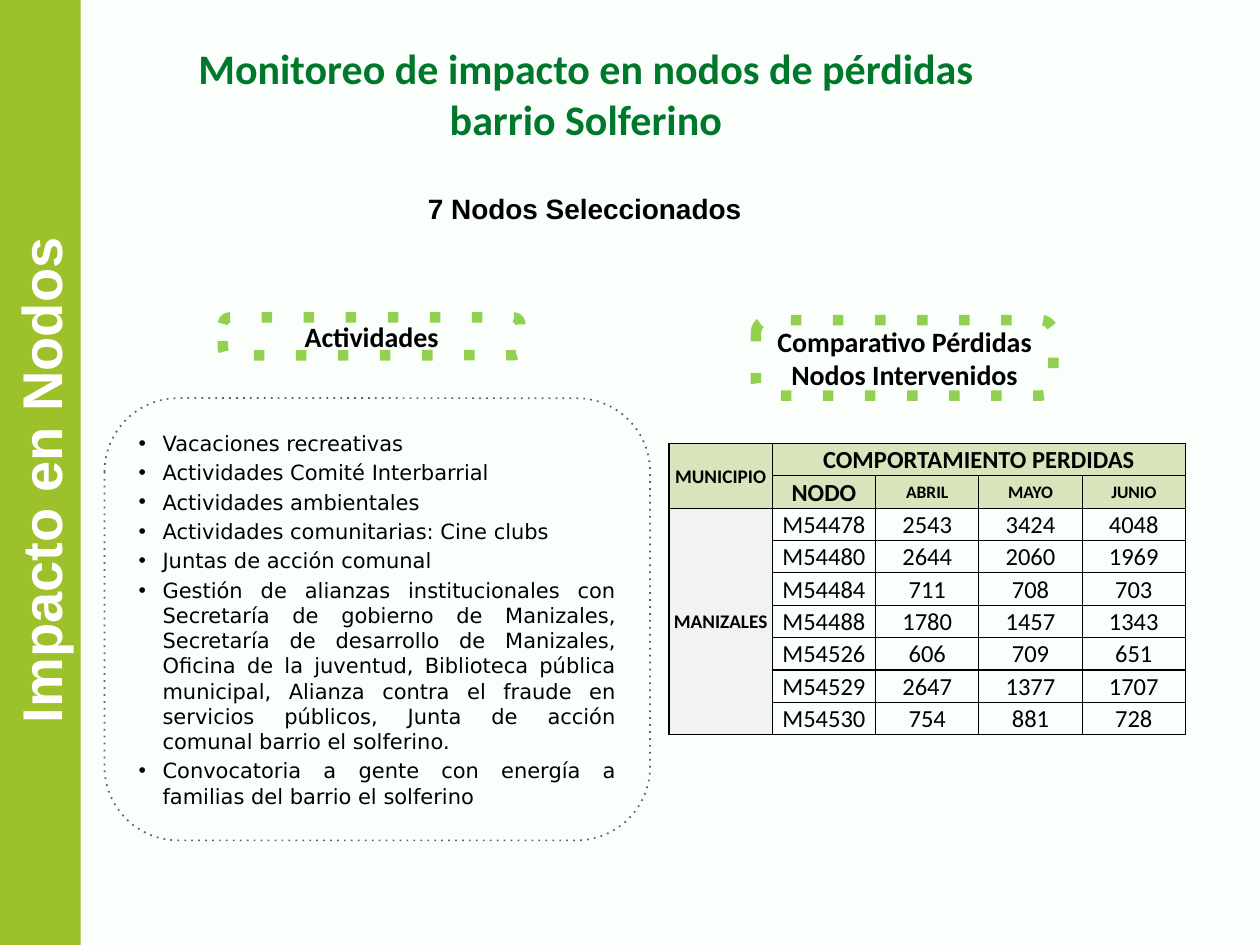
from dataclasses import dataclass

from lxml import etree
from pptx import Presentation
from pptx import util as u
from pptx.dml.color import RGBColor
from pptx.enum import shapes, text
from pptx.oxml.ns import qn


@dataclass(frozen=True)
class Theme:
    background: str = "FBFFFC"
    band: str = "9CC12B"
    accent: str = "92D050"
    title: str = "00782C"
    ink: str = "000000"
    white: str = "FFFFFF"
    outline: str = "606060"
    header: str = "D8E4BC"
    region: str = "F2F2F2"
    side_size: int = 32
    title_size: int = 24
    label_size: int = 16
    table_size: int = 14
    list_size: int = 12
    region_size: int = 11
    month_size: int = 10


THEME = Theme()
COLUMNS, ROWS = 100, 75
WIDTH, HEIGHT = u.Inches(10), u.Inches(7.5)

ACTIVITIES = [
    "Vacaciones recreativas",
    "Actividades Comité Interbarrial",
    "Actividades ambientales",
    "Actividades comunitarias: Cine clubs",
    "Juntas de acción comunal",
    "Gestión de alianzas institucionales con Secretaría de gobierno de Manizales, "
    "Secretaría de desarrollo de Manizales, Oficina de la juventud, Biblioteca pública "
    "municipal, Alianza contra el fraude en servicios públicos, Junta de acción comunal "
    "barrio el solferino.",
    "Convocatoria a gente con energía a familias del barrio el solferino",
]
MONTHS = ["ABRIL", "MAYO", "JUNIO"]
LOSSES = {
    "M54478": (2543, 3424, 4048),
    "M54480": (2644, 2060, 1969),
    "M54484": (711, 708, 703),
    "M54488": (1780, 1457, 1343),
    "M54526": (606, 709, 651),
    "M54529": (2647, 1377, 1707),
    "M54530": (754, 881, 728),
}


def rgb(value):
    return RGBColor.from_string(value)


def grid(col, row, cols, rows):
    return (int(WIDTH * col / COLUMNS), int(HEIGHT * row / ROWS),
            int(WIDTH * cols / COLUMNS), int(HEIGHT * rows / ROWS))


def apply(target, **values):
    for name, value in values.items():
        setattr(target, name, value)


def child(parent, tag, **attributes):
    return etree.SubElement(parent, qn(tag), attributes)


def place(sp, box):
    apply(sp, **dict(zip(("left", "top", "width", "height"), grid(*box))))


def format_frame(tf, anchor=text.MSO_ANCHOR.TOP, side=0.1, edge=0.05):
    apply(tf, word_wrap=True, auto_size=text.MSO_AUTO_SIZE.NONE, vertical_anchor=anchor,
          margin_left=u.Inches(side), margin_right=u.Inches(side),
          margin_top=u.Inches(edge), margin_bottom=u.Inches(edge))


def write(p, words, size, font="Calibri", color=THEME.ink, bold=True,
          align=text.PP_ALIGN.CENTER):
    p.alignment = align
    r = p.add_run()
    r.text = words
    apply(r.font, name=font, size=u.Pt(size), bold=bold)
    r.font.color.rgb = rgb(color)


def add_box(s, kind, box, fill=None, line=None, weight=1):
    sp = s.shapes.add_shape(kind, *grid(*box))
    sp.shadow.inherit = False
    if fill:
        sp.fill.solid()
        sp.fill.fore_color.rgb = rgb(fill)
    else:
        sp.fill.background()
    if line:
        sp.line.color.rgb = rgb(line)
        sp.line.width = u.Pt(weight)
        child(sp.element.spPr.find(qn("a:ln")), "a:prstDash", val="dot")
    else:
        sp.line.fill.background()
    return sp


def add_side_band(s, words):
    sp = add_box(s, shapes.MSO_SHAPE.RECTANGLE, (-34.3, 34.3, 75, 6.4), THEME.band)
    sp.rotation = 270
    format_frame(sp.text_frame)
    write(sp.text_frame.paragraphs[0], words, THEME.side_size, "Arial", THEME.white)


def add_label(s, words, box):
    sp = add_box(s, shapes.MSO_SHAPE.ROUNDED_RECTANGLE, box, line=THEME.accent, weight=6)
    format_frame(sp.text_frame, text.MSO_ANCHOR.MIDDLE, 0, 0)
    write(sp.text_frame.paragraphs[0], words, THEME.label_size)


def fill_title(s, words):
    sp = s.shapes.title
    place(sp, (13.8, 2.9, 65.4, 9.1))
    format_frame(sp.text_frame)
    write(sp.text_frame.paragraphs[0], words, THEME.title_size, color=THEME.title)


def add_subtitle(s, words):
    sp = s.shapes.add_textbox(*grid(28.5, 14.7, 35.8, 3.7))
    format_frame(sp.text_frame)
    write(sp.text_frame.paragraphs[0], words, THEME.label_size, "Arial")


def fill_list(s, items):
    col, row, cols, rows = panel = (8.3, 31.6, 43.3, 35.1)
    inset = 1.7
    add_box(s, shapes.MSO_SHAPE.ROUNDED_RECTANGLE, panel, line=THEME.outline)
    sp = s.placeholders[1]
    place(sp, (col + inset, row + inset, cols - 2 * inset, rows - 2 * inset))
    s.shapes._spTree.append(sp.element)
    tf = sp.text_frame
    format_frame(tf, text.MSO_ANCHOR.MIDDLE)
    for index, item in enumerate(items):
        p = tf.add_paragraph() if index else tf.paragraphs[0]
        p.space_before = u.Pt(2.4 if index else 0)
        pPr = p._p.get_or_add_pPr()
        pPr.set("marL", str(u.Inches(0.19)))
        pPr.set("indent", str(-u.Inches(0.19)))
        child(child(pPr, "a:buClr"), "a:srgbClr", val=THEME.ink)
        child(pPr, "a:buChar", char="•")
        write(p, item, THEME.list_size, "DejaVu Sans", bold=False,
              align=text.PP_ALIGN.JUSTIFY)


def format_cell(cell, fill=None):
    apply(cell, vertical_anchor=text.MSO_ANCHOR.MIDDLE, margin_left=u.Inches(0.01),
          margin_right=u.Inches(0.01), margin_top=u.Inches(0.01), margin_bottom=0)
    tcPr = cell._tc.get_or_add_tcPr()
    for side in ("a:lnL", "a:lnR", "a:lnT", "a:lnB"):
        ln = child(tcPr, side, w=str(u.Pt(0.75)))
        child(child(ln, "a:solidFill"), "a:srgbClr", val=THEME.ink)
    if fill:
        cell.fill.solid()
        cell.fill.fore_color.rgb = rgb(fill)
    else:
        cell.fill.background()


def add_loss_table(s):
    cols, rows = len(MONTHS) + 2, len(LOSSES) + 2
    table = s.shapes.add_table(rows, cols, *grid(53.1, 35.2, 8.2 * cols, 2.57 * rows)).table
    apply(table, first_row=False, horz_banding=False)
    for i in range(rows):
        for j in range(cols):
            fill = THEME.header if i < 2 else THEME.region if j == 0 else None
            format_cell(table.cell(i, j), fill)
    for first, last in (((0, 0), (1, 0)), ((0, 1), (0, cols - 1)), ((2, 0), (rows - 1, 0))):
        table.cell(*first).merge(table.cell(*last))

    def put(i, j, words, size=THEME.table_size, bold=True):
        write(table.cell(i, j).text_frame.paragraphs[0], str(words), size, bold=bold)

    put(0, 0, "MUNICIPIO", THEME.region_size)
    put(0, 1, "COMPORTAMIENTO PERDIDAS")
    put(1, 1, "NODO")
    put(2, 0, "MANIZALES", THEME.region_size)
    for j, month in enumerate(MONTHS, 2):
        put(1, j, month, THEME.month_size)
    for i, (node, values) in enumerate(LOSSES.items(), 2):
        for j, value in enumerate((node, *values), 1):
            put(i, j, value, bold=False)


def main():
    prs = Presentation()
    apply(prs, slide_width=WIDTH, slide_height=HEIGHT)
    s = prs.slides.add_slide(prs.slide_layouts[1])
    s.background.fill.solid()
    s.background.fill.fore_color.rgb = rgb(THEME.background)
    add_side_band(s, "Impacto en Nodos ")
    fill_title(s, "Monitoreo de impacto en nodos de pérdidas barrio Solferino")
    add_subtitle(s, "7 Nodos Seleccionados")
    add_label(s, "Actividades", (17.7, 25.2, 23.6, 3))
    add_label(s, "Comparativo Pérdidas Nodos Intervenidos", (60, 25.4, 23.6, 6))
    fill_list(s, ACTIVITIES)
    add_loss_table(s)
    prs.save("out.pptx")


if __name__ == "__main__":
    main()
